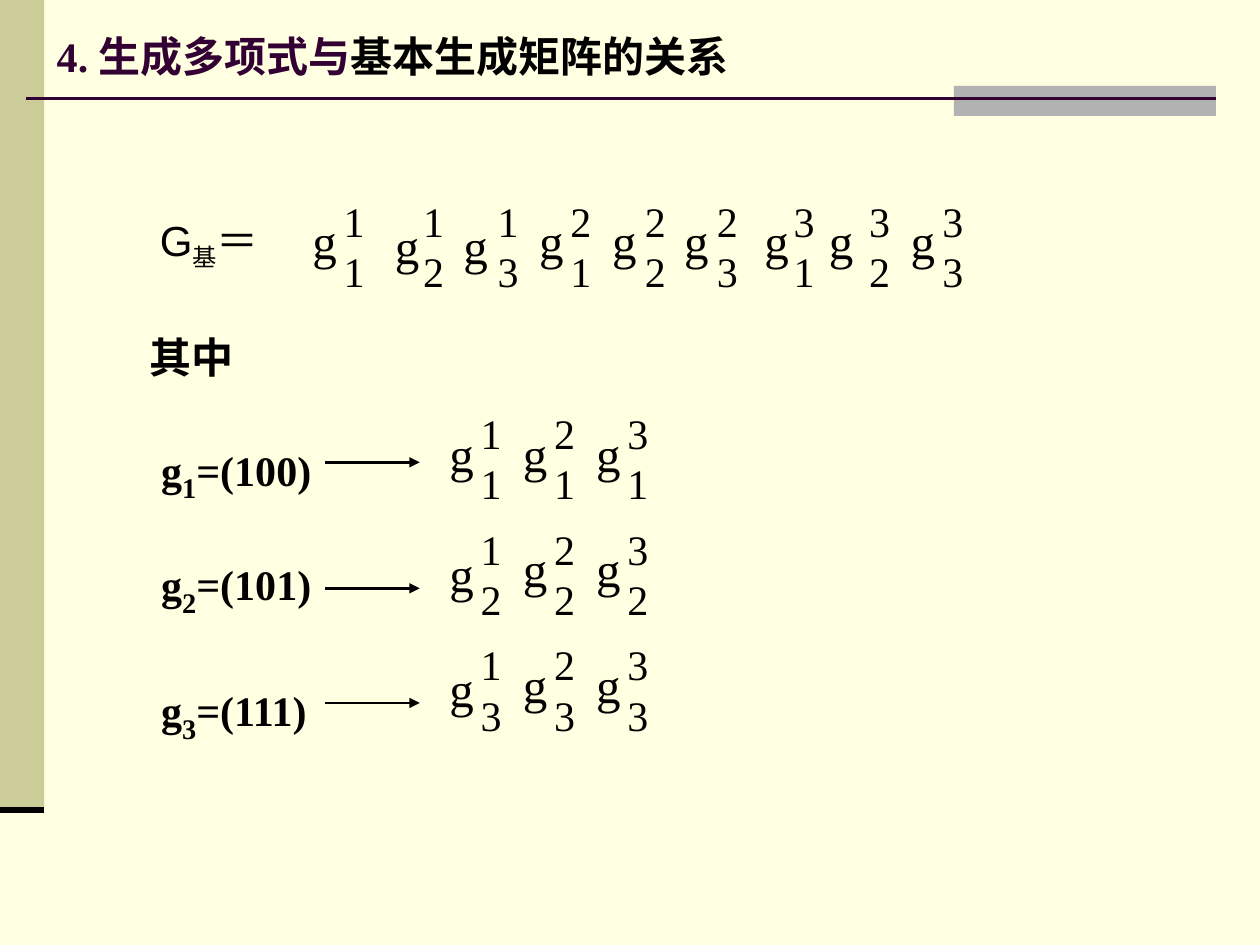
from dataclasses import dataclass

from lxml import etree
from pptx import Presentation
from pptx.dml.color import RGBColor
from pptx.enum.shapes import MSO_CONNECTOR, MSO_SHAPE
from pptx.enum.text import MSO_ANCHOR, MSO_AUTO_SIZE, PP_ALIGN
from pptx.oxml.ns import qn
from pptx.util import Cm, Pt

RECT = MSO_SHAPE.RECTANGLE
STRAIGHT = MSO_CONNECTOR.STRAIGHT
LEFT = PP_ALIGN.LEFT
TOP, MIDDLE = MSO_ANCHOR.TOP, MSO_ANCHOR.MIDDLE
NO_FIT = MSO_AUTO_SIZE.NONE
SERIF, SANS = "Times New Roman", "Arial"
COLORS = {
    "paper": "FFFFE1",
    "band": "CCCC99",
    "tab": "B2B2B2",
    "plum": "330033",
    "ink": "000000",
}


@dataclass
class Term:
    g_left: float
    digits_left: float
    top: float
    sup: int
    sub: int
    g_drop: float = 0.3


@dataclass
class Generator:
    sub: int
    bits: str
    label_top: float
    arrow_y: float
    terms_top: float
    first_drop: float


def rgb(name: str) -> RGBColor:
    return RGBColor.from_string(COLORS[name])


def add_run(p, text: str, size: float = 24, font: str = SERIF,
            color: str = "ink", bold: bool = False, baseline: int = 0) -> None:
    r = p.add_run()
    r.text = text
    r.font.size = Pt(size)
    r.font.name = font
    r.font.bold = bold
    r.font.color.rgb = rgb(color)
    if baseline:
        r._r.get_or_add_rPr().set("baseline", str(baseline))


def add_box(s, left: float, top: float, width: float, height: float):
    sp = s.shapes.add_textbox(Cm(left), Cm(top), Cm(width), Cm(height))
    sp.text_frame.word_wrap = False
    return sp.text_frame


def place(sp, left: float, top: float, width: float, height: float, anchor):
    sp.left, sp.top, sp.width, sp.height = Cm(left), Cm(top), Cm(width), Cm(height)
    tf = sp.text_frame
    tf.word_wrap = True
    tf.auto_size = NO_FIT
    tf.vertical_anchor = anchor
    p = tf.paragraphs[0]
    p.alignment = LEFT
    p.space_before = Pt(0)
    return p


def add_rect(s, left: float, top: float, width: float, height: float, color: str) -> None:
    sp = s.shapes.add_shape(RECT, Cm(left), Cm(top), Cm(width), Cm(height))
    sp.shadow.inherit = False
    sp.fill.solid()
    sp.fill.fore_color.rgb = rgb(color)
    sp.line.fill.background()


def add_line(s, x1: float, x2: float, y: float, color: str = "ink",
             width: float = 1.5, arrow: bool = False) -> None:
    c = s.shapes.add_connector(STRAIGHT, Cm(x1), Cm(y), Cm(x2), Cm(y))
    c.line.color.rgb = rgb(color)
    c.line.width = Pt(width)
    if arrow:
        etree.SubElement(c.line._get_or_add_ln(), qn("a:tailEnd"), type="triangle")
    etree.SubElement(c._element.spPr, qn("a:effectLst"))


def add_term(s, t: Term) -> None:
    g = add_box(s, t.g_left, t.top + t.g_drop, 1.32, 1.45)
    g.word_wrap = True
    add_run(g.paragraphs[0], "g", size=28)
    tf = add_box(s, t.digits_left, t.top, 0.91, 2.29)
    add_run(tf.paragraphs[0], str(t.sup))
    add_run(tf.add_paragraph(), str(t.sub))


def add_generator(s, gen: Generator) -> None:
    p = add_box(s, 3, gen.label_top, 3.53, 1.6).paragraphs[0]
    add_run(p, "g", bold=True)
    add_run(p, str(gen.sub), size=28, bold=True, baseline=-25000)
    add_run(p, f"=({gen.bits})", bold=True)
    add_line(s, 6.55, 8.46, gen.arrow_y, arrow=True)
    for i in range(3):
        left = 8.81 + 1.48 * i
        drop = gen.first_drop if i == 0 else 0.32
        add_term(s, Term(left, left + 0.63, gen.terms_top, i + 1, gen.sub, drop))


def main() -> None:
    prs = Presentation()
    prs.slide_width, prs.slide_height = Cm(25.4), Cm(19.05)
    s = prs.slides.add_slide(prs.slide_layouts[1])
    s.background.fill.solid()
    s.background.fill.fore_color.rgb = rgb("paper")

    add_rect(s, 0, 0, 0.89, 16.33, "band")
    add_rect(s, 19.23, 1.73, 5.28, 0.61, "tab")
    add_line(s, 0.53, 24.51, 1.98, color="plum")
    add_line(s, 0, 0.89, 16.33, width=3)

    p = place(s.shapes.title, 0.89, 0.53, 19.48, 1.19, MIDDLE)
    add_run(p, "4. 生成多项式与", color="plum", bold=True)
    add_run(p, "基本生成矩阵的关系", bold=True)

    p = place(s.placeholders[1], 2.97, 4.19, 3.18, 2.11, TOP)
    pPr = p._p.get_or_add_pPr()
    pPr.set("marL", str(Cm(0.97)))
    pPr.set("indent", str(-Cm(0.97)))
    etree.SubElement(pPr, qn("a:buNone"))
    add_run(p, "G", font=SANS)
    add_run(p, "基", font=SANS, baseline=-25000)
    add_run(p, "＝", font=SANS)

    g_lefts = [6.05, 7.71, 9.09, 10.62, 12.09, 13.54, 15.16, 16.46, 18.11]
    digit_lefts = [6.68, 8.28, 9.78, 11.25, 12.75, 14.2, 15.75, 17.27, 18.75]
    for i, (g_left, digits_left) in enumerate(zip(g_lefts, digit_lefts)):
        drop = 0.42 if i in (1, 2) else 0.3
        add_term(s, Term(g_left, digits_left, 3.81, i // 3 + 1, i % 3 + 1, drop))

    add_run(add_box(s, 2.77, 6.55, 2.4, 1.27).paragraphs[0], "其中", bold=True)

    generators = [
        Generator(1, "100", 8.69, 9.32, 8.09, 0.32),
        Generator(2, "101", 11, 11.86, 10.42, 0.41),
        Generator(3, "111", 13.54, 14.17, 12.75, 0.41),
    ]
    for gen in generators:
        add_generator(s, gen)

    prs.save("out.pptx")


if __name__ == "__main__":
    main()
